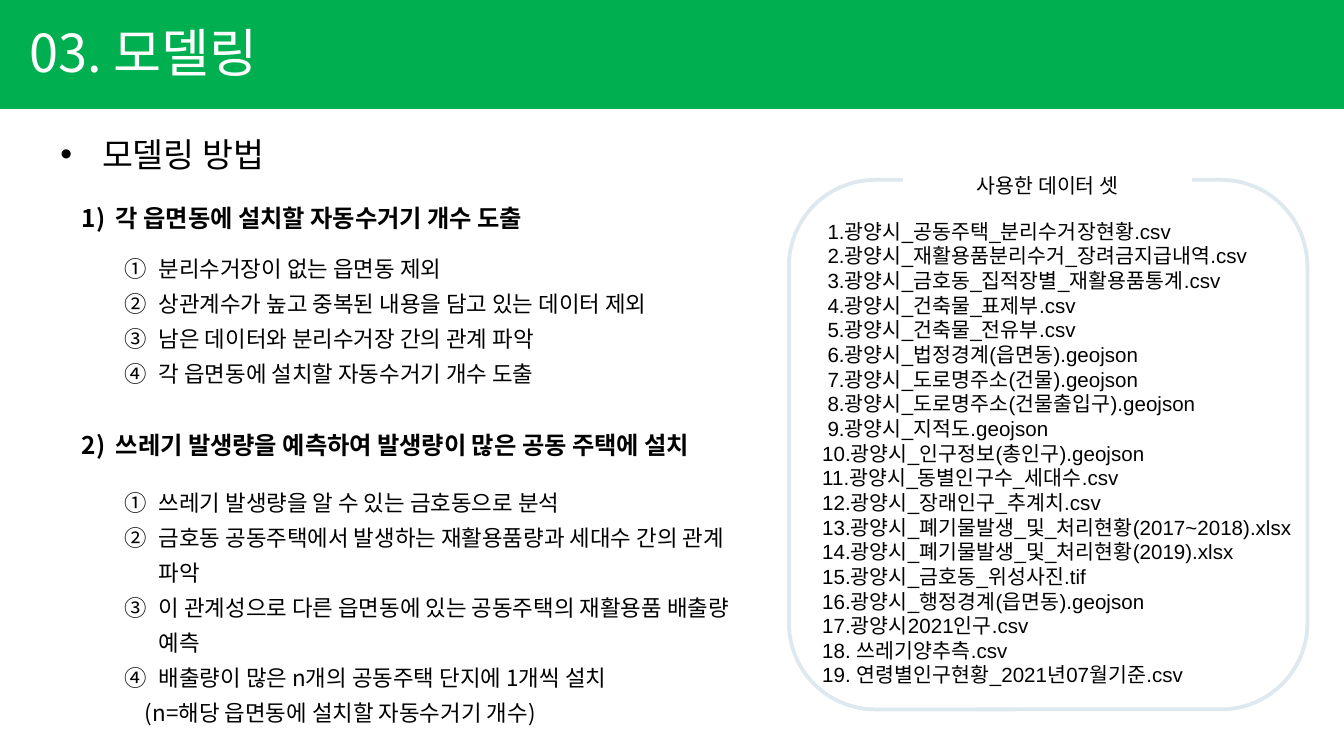
from lxml import etree
from pptx import Presentation
from pptx.dml.color import RGBColor
from pptx.enum.shapes import MSO_SHAPE
from pptx.enum.text import MSO_ANCHOR, PP_ALIGN
from pptx.oxml.ns import qn
from pptx.util import Cm, Pt

RECTANGLE = MSO_SHAPE.RECTANGLE
ROUNDED = MSO_SHAPE.ROUNDED_RECTANGLE
TOP, MIDDLE = MSO_ANCHOR.TOP, MSO_ANCHOR.MIDDLE
LEFT, CENTER, JUSTIFY = PP_ALIGN.LEFT, PP_ALIGN.CENTER, PP_ALIGN.JUSTIFY

GREEN = RGBColor(0x00, 0xB0, 0x50)
PALE_BLUE = RGBColor(0xDD, 0xE8, 0xEF)
WHITE = RGBColor(0xFF, 0xFF, 0xFF)
BLACK = RGBColor(0x00, 0x00, 0x00)
KOREAN = "Noto Sans CJK KR"


def add_line(frame, text, size=12, font=KOREAN, color=BLACK, bold=False, align=LEFT,
             left=0, hang=0, bullet=None, numbering=None, spacing=None, before=None):
    paragraph = frame.paragraphs[0]
    if paragraph.runs:
        paragraph = frame.add_paragraph()
    properties = paragraph._p.get_or_add_pPr()
    properties.set("marL", str(Cm(left)))
    properties.set("indent", str(-Cm(hang)))
    if bullet:
        etree.SubElement(properties, qn("a:buFont")).set("typeface", "Arial")
        etree.SubElement(properties, qn("a:buChar")).set("char", bullet)
    if numbering:
        etree.SubElement(properties, qn("a:buAutoNum")).set("type", numbering)
    paragraph.alignment = align
    if spacing:
        paragraph.line_spacing = spacing
    if before:
        paragraph.space_before = Pt(before)
    run = paragraph.add_run()
    run.text = text
    run.font.size = Pt(size)
    run.font.name = font
    run.font.bold = bold
    run.font.color.rgb = color
    east_asian = etree.Element(qn("a:ea"))
    east_asian.set("typeface", font)
    run.font._element.find(qn("a:latin")).addnext(east_asian)


def add_frame(left, top, width, height, wrap=True):
    box = slide.shapes.add_textbox(Cm(left), Cm(top), Cm(width), Cm(height))
    box.text_frame.word_wrap = wrap
    return box.text_frame


prs = Presentation()
prs.slide_width, prs.slide_height = Cm(25.4), Cm(14.29)
slide = prs.slides.add_slide(prs.slide_layouts[5])

header = slide.shapes.add_shape(RECTANGLE, Cm(0), Cm(-0.08), Cm(25.4), Cm(2.14))
header.shadow.inherit = False
header.fill.solid()
header.fill.fore_color.rgb = GREEN
header.line.fill.background()

title = slide.shapes.title
title.left, title.top, title.width, title.height = Cm(0.3), Cm(0.25), Cm(5.26), Cm(1.45)
title.text_frame.word_wrap = False
title.text_frame.vertical_anchor = TOP
add_line(title.text_frame, "03. 모델링", size=28, color=WHITE)
header.element.addnext(title.element)

data_border = slide.shapes.add_shape(ROUNDED, Cm(14.91), Cm(3.4), Cm(9.8), Cm(10.01))
data_border.shadow.inherit = False
data_border.fill.background()
data_border.line.color.rgb = PALE_BLUE
data_border.line.width = Pt(2)

data_heading = slide.shapes.add_shape(RECTANGLE, Cm(17.07), Cm(3.15), Cm(5.46), Cm(0.69))
data_heading.shadow.inherit = False
data_heading.fill.solid()
data_heading.fill.fore_color.rgb = WHITE
data_heading.line.fill.background()
data_heading.text_frame.vertical_anchor = MIDDLE
add_line(data_heading.text_frame, "사용한 데이터 셋", size=11, align=CENTER)

data_sets = [
    "1.광양시_공동주택_분리수거장현황.csv",
    "2.광양시_재활용품분리수거_장려금지급내역.csv",
    "3.광양시_금호동_집적장별_재활용품통계.csv",
    "4.광양시_건축물_표제부.csv",
    "5.광양시_건축물_전유부.csv",
    "6.광양시_법정경계(읍면동).geojson",
    "7.광양시_도로명주소(건물).geojson",
    "8.광양시_도로명주소(건물출입구).geojson",
    "9.광양시_지적도.geojson",
    "10.광양시_인구정보(총인구).geojson",
    "11.광양시_동별인구수_세대수.csv",
    "12.광양시_장래인구_추계치.csv",
    "13.광양시_폐기물발생_및_처리현황(2017~2018).xlsx",
    "14.광양시_폐기물발생_및_처리현황(2019).xlsx",
    "15.광양시_금호동_위성사진.tif",
    "16.광양시_행정경계(읍면동).geojson",
    "17.광양시2021인구.csv",
    "18. 쓰레기양추측.csv",
    "19. 연령별인구현황_2021년07월기준.csv",
]
data_list = add_frame(15.29, 4.01, 9.6, 9.19)
for number, data_set in enumerate(data_sets, start=1):
    add_line(data_list, data_set, size=11, font="Arial", left=0.1 if number < 10 else 0)

method = add_frame(0.89, 2.41, 4.5, 1.02, wrap=False)
add_line(method, "모델링 방법", size=18, left=0.79, hang=0.79, bullet="•")

goals = add_frame(1.3, 3.71, 13.41, 5.26)
for goal, gap in [
    ("각 읍면동에 설치할 자동수거기 개수 도출", None),
    ("쓰레기 발생량을 예측하여 발생량이 많은 공동 주택에 설치", 106),
]:
    add_line(goals, goal, size=13, bold=True, align=JUSTIFY, left=0.64, hang=0.64,
             numbering="arabicParenR", before=gap)

count_steps = [
    "분리수거장이 없는 읍면동 제외",
    "상관계수가 높고 중복된 내용을 담고 있는 데이터 제외",
    "남은 데이터와 분리수거장 간의 관계 파악",
    "각 읍면동에 설치할 자동수거기 개수 도출",
]
placement_steps = [
    "쓰레기 발생량을 알 수 있는 금호동으로 분석",
    "금호동 공동주택에서 발생하는 재활용품량과 세대수 간의 관계 파악",
    "이 관계성으로 다른 읍면동에 있는 공동주택의 재활용품 배출량 예측",
    "배출량이 많은 n개의 공동주택 단지에 1개씩 설치",
]
for steps, top, width, height in [
    (count_steps, 4.55, 11.61, 2.84),
    (placement_steps, 8.97, 12.19, 4.85),
]:
    step_list = add_frame(2.11, top, width, height)
    for step in steps:
        add_line(step_list, step, left=0.64, hang=0.64,
                 numbering="circleNumDbPlain", spacing=1.3)
add_line(step_list, "(n=해당 읍면동에 설치할 자동수거기 개수)", left=0.38, spacing=1.3)

prs.save("out.pptx")
